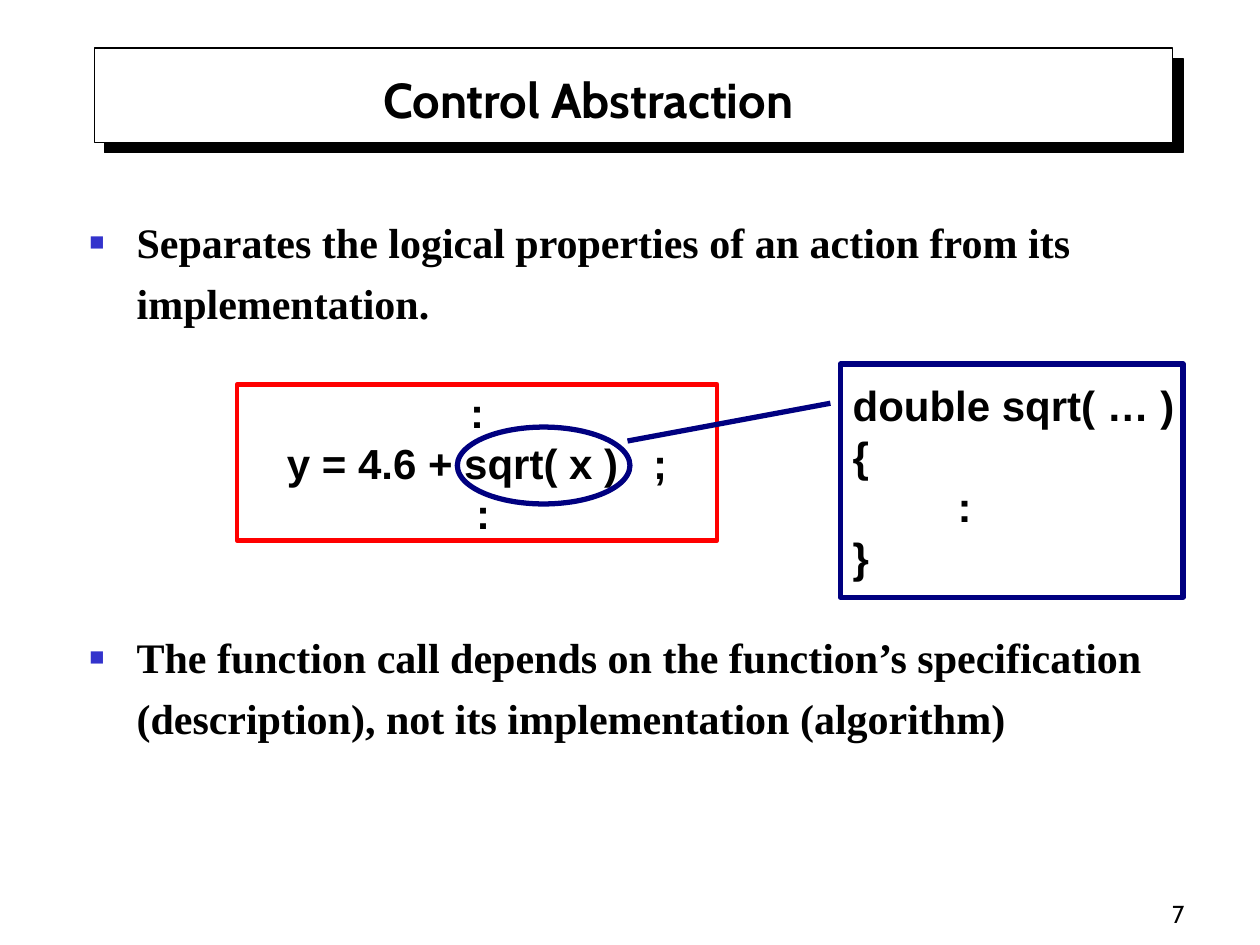
from dataclasses import dataclass
from lxml import etree
from pptx import Presentation
from pptx.dml.color import RGBColor
from pptx.enum.shapes import MSO_CONNECTOR, MSO_SHAPE
from pptx.enum.text import MSO_ANCHOR, MSO_AUTO_SIZE, PP_ALIGN
from pptx.oxml import parse_xml
from pptx.oxml.ns import nsdecls, qn
from pptx.util import Cm, Pt

RECTANGLE, OVAL = MSO_SHAPE.RECTANGLE, MSO_SHAPE.OVAL
STRAIGHT = MSO_CONNECTOR.STRAIGHT
LEFT, CENTER, RIGHT = PP_ALIGN.LEFT, PP_ALIGN.CENTER, PP_ALIGN.RIGHT
TOP, MIDDLE, BOTTOM = MSO_ANCHOR.TOP, MSO_ANCHOR.MIDDLE, MSO_ANCHOR.BOTTOM


@dataclass(frozen=True)
class Theme:
    black: str = "000000"
    white: str = "FFFFFF"
    red: str = "FF0000"
    navy: str = "000080"
    bullet: str = "3333CC"
    title_font: str = "Cabin"
    body_font: str = "Times New Roman"
    code_font: str = "Arial"
    title_size: int = 28
    text_size: int = 24
    number_size: int = 14
    thin: float = 0.75
    medium: float = 2.5
    thick: float = 3


@dataclass(frozen=True)
class Box:
    left: float
    top: float
    width: float
    height: float

    def inside(self, left, top, width, height):
        return Box(self.left + left, self.top + top, width, height)

    def lengths(self):
        return [Cm(value) for value in (self.left, self.top, self.width, self.height)]


THEME = Theme()


def place(shape, box):
    shape.left, shape.top, shape.width, shape.height = box.lengths()


def write(shape, text, font, size, align=LEFT, anchor=MIDDLE, bold=True, wrap=True):
    frame = shape.text_frame
    frame.text = text
    frame.word_wrap = wrap
    frame.auto_size = MSO_AUTO_SIZE.NONE
    frame.vertical_anchor = anchor
    for paragraph in frame.paragraphs:
        paragraph.alignment = align
        for span in paragraph.runs:
            span.font.name = font
            span.font.size = Pt(size)
            span.font.bold = bold
            span.font.color.rgb = RGBColor.from_string(THEME.black)
    return frame


def outline(page, kind, box, color, weight):
    shape = page.shapes.add_shape(kind, *box.lengths())
    shape.shadow.inherit = False
    shape.fill.background()
    shape.line.color.rgb = RGBColor.from_string(color)
    shape.line.width = Pt(weight)
    return shape


def add_hard_shadow(shape):
    effects = shape.element.spPr.find(qn("a:effectLst"))
    effects.append(parse_xml(
        f'<a:outerShdw {nsdecls("a")} dist="{Pt(8.5)}" dir="2700000" algn="ctr" '
        f'rotWithShape="0"><a:srgbClr val="{THEME.black}"/></a:outerShdw>'))


def add_bullet(paragraph):
    properties = paragraph._p.get_or_add_pPr()
    properties.set("marL", str(Cm(0.95)))
    properties.set("indent", str(Cm(-0.95)))
    color = etree.SubElement(properties, qn("a:buClr"))
    etree.SubElement(color, qn("a:srgbClr"), val=THEME.bullet)
    etree.SubElement(properties, qn("a:buSzPct"), val="60000")
    etree.SubElement(properties, qn("a:buFont"), typeface=THEME.code_font)
    etree.SubElement(properties, qn("a:buChar"), char="■")


def build_title(page, box):
    title = page.shapes.title
    panel = outline(page, RECTANGLE, box, THEME.black, THEME.thin)
    panel.fill.solid()
    panel.fill.fore_color.rgb = RGBColor.from_string(THEME.white)
    add_hard_shadow(panel)
    title.element.addprevious(panel.element)
    place(title, box.inside(0.11, 0.25, 21.29, 1.5))
    frame = write(title, "Control Abstraction", THEME.title_font, THEME.title_size,
                  CENTER, BOTTOM)
    frame.margin_right = Cm(1.85)


def build_points(page, box):
    body = page.placeholders[1]
    place(body, box)
    points = [
        "Separates the logical properties of an action from its implementation.",
        "The function call depends on the function’s specification "
        "(description), not its implementation (algorithm)",
    ]
    frame = write(body, "\n".join(points), THEME.body_font, THEME.text_size, anchor=TOP)
    for paragraph, space in zip(frame.paragraphs, (0, 168)):
        add_bullet(paragraph)
        paragraph.line_spacing = 1.2
        paragraph.space_before = Pt(space)


def build_code_box(page, box, code, color, weight, align):
    shape = outline(page, RECTANGLE, box, color, weight)
    write(shape, code, THEME.code_font, THEME.text_size, align, wrap=False)


def build_diagram(page, box):
    build_code_box(page, box.inside(0, 0.41, 9.68, 3.15),
                   ":\ny = 4.6 + sqrt( x )   ;\n :", THEME.red, THEME.medium, CENTER)
    outline(page, OVAL, box.inside(4.44, 1.27, 3.48, 1.55), THEME.navy, THEME.thick)
    link = page.shapes.add_connector(
        STRAIGHT, Cm(box.left + 7.87), Cm(box.top + 1.55),
        Cm(box.left + 11.96), Cm(box.top + 0.79))
    link.line.color.rgb = RGBColor.from_string(THEME.navy)
    link.line.width = Pt(THEME.thick)
    etree.SubElement(link.element.spPr, qn("a:effectLst"))
    build_code_box(page, box.inside(12.16, 0, 6.91, 4.7),
                   "double sqrt( … )\n{\n         :\n}", THEME.navy, THEME.thick, LEFT)


def build_page_number(page, box):
    number = page.shapes.add_textbox(*box.lengths())
    write(number, "7", THEME.title_font, THEME.number_size, RIGHT, BOTTOM, bold=False)


def main():
    deck = Presentation()
    deck.slide_width, deck.slide_height = Cm(25.4), Cm(19.05)
    page = deck.slides.add_slide(deck.slide_layouts[1])
    build_title(page, Box(1.9, 0.97, 21.74, 1.9))
    build_points(page, Box(1.55, 4.04, 21.84, 12.47))
    build_diagram(page, Box(4.78, 7.34, 19.07, 4.7))
    build_page_number(page, Box(18.85, 17.58, 5.28, 1.27))
    deck.save("out.pptx")


if __name__ == "__main__":
    main()
